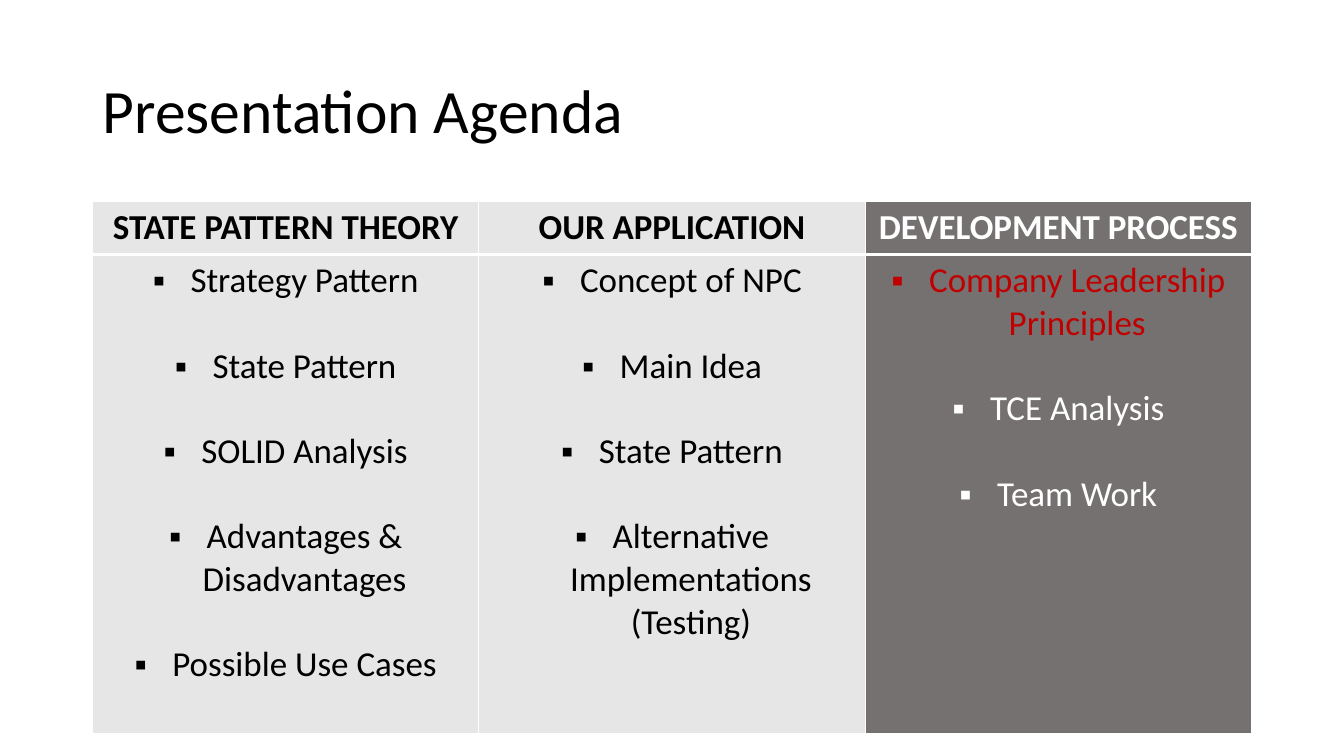
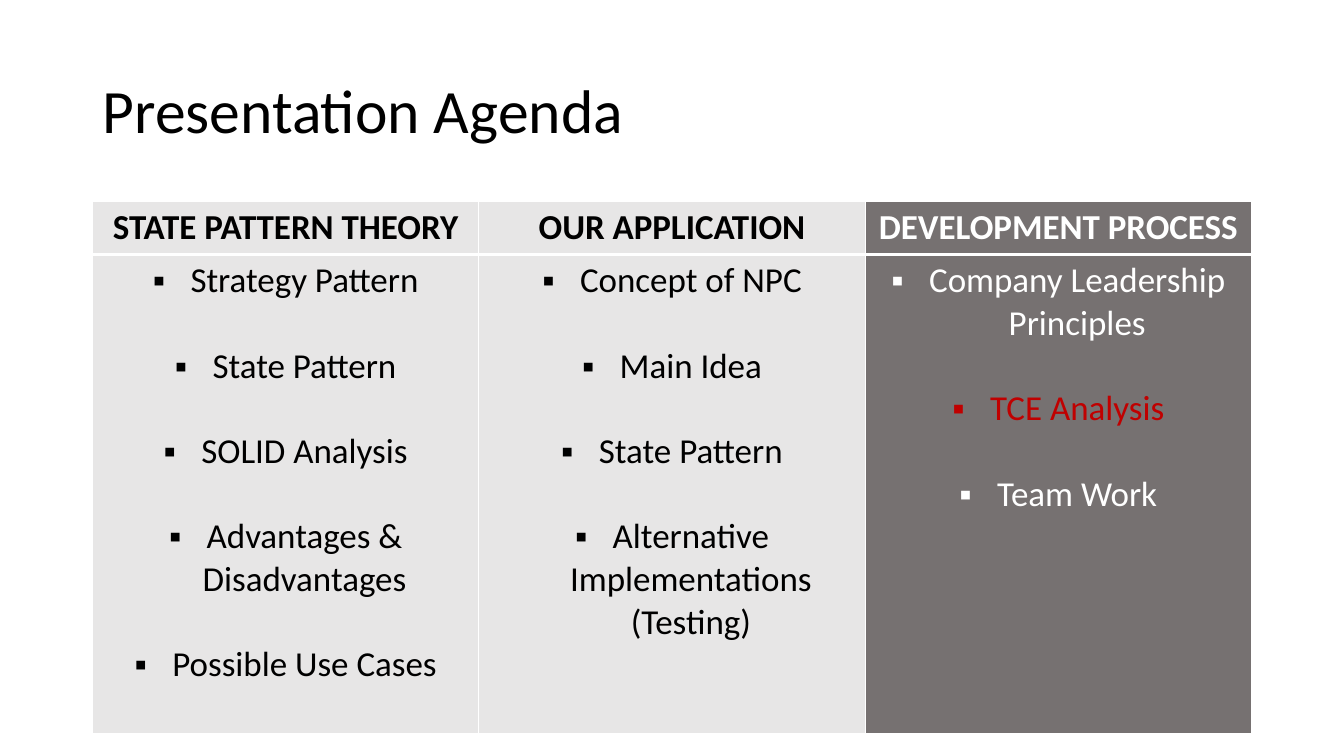
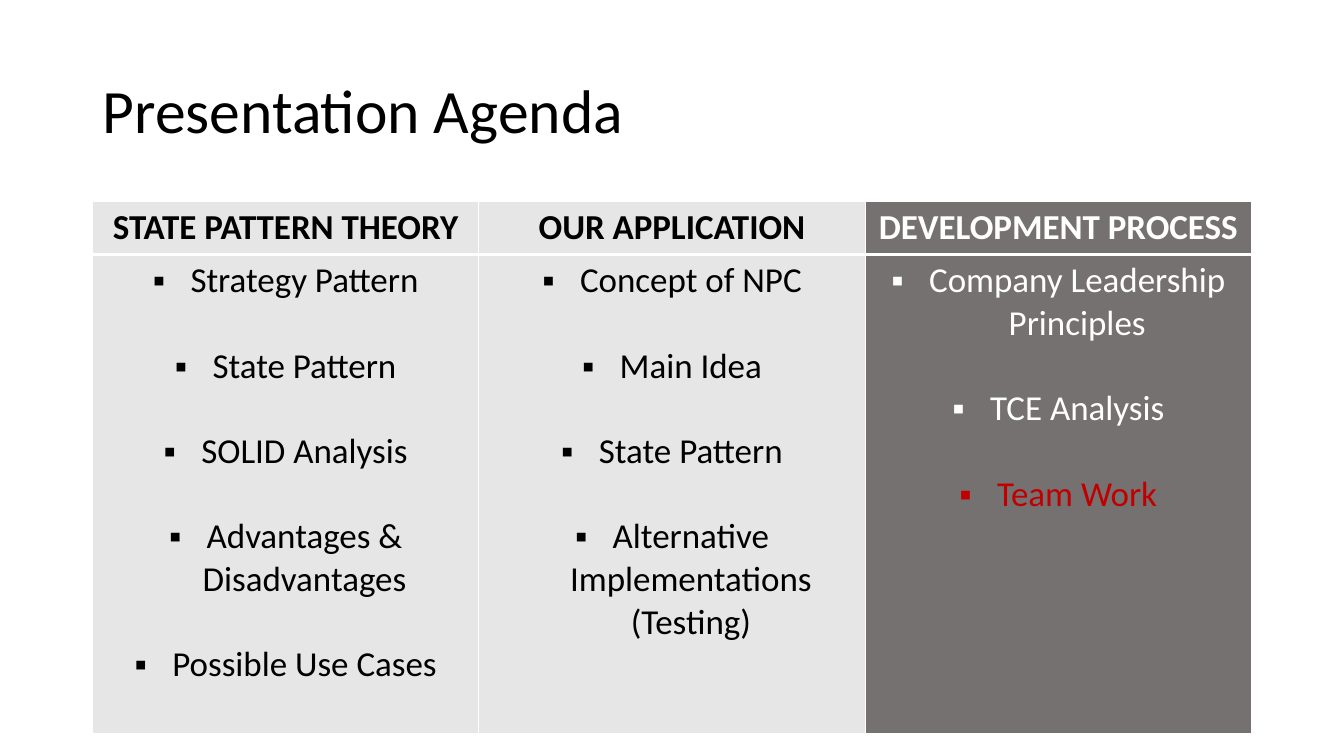
import dataclasses

import lxml.etree
import pptx
import pptx.dml.color
import pptx.enum.text
import pptx.oxml.ns
import pptx.util

Cm = pptx.util.Cm
Pt = pptx.util.Pt
qn = pptx.oxml.ns.qn


@dataclasses.dataclass(frozen=True)
class Theme:
    font: str = "Calibri"
    white: str = "FFFFFF"
    black: str = "000000"
    light: str = "E7E6E6"
    dark: str = "767171"
    accent: str = "C00000"
    title_size: int = 44
    table_size: int = 25
    item_gap: float = 30.5
    thin: int = 1
    thick: int = 3


TOPICS = {
    "STATE PATTERN THEORY": [
        "Strategy Pattern",
        "State Pattern",
        "SOLID Analysis",
        "Advantages & Disadvantages",
        "Possible Use Cases",
    ],
    "OUR APPLICATION": [
        "Concept of NPC",
        "Main Idea",
        "State Pattern",
        "Alternative Implementations (Testing)",
    ],
    "DEVELOPMENT PROCESS": [
        "Company Leadership Principles",
        "TCE Analysis",
        "Team Work",
    ],
}
CURRENT_TOPIC = "DEVELOPMENT PROCESS"


class Deck:
    left, width = Cm(2.33), Cm(29.21)

    def __init__(self, theme):
        self.theme = theme
        self.presentation = pptx.Presentation()
        self.presentation.slide_width = Cm(33.87)
        self.presentation.slide_height = Cm(19.05)
        self.slide = None

    def add_slide(self, title):
        layout = self.presentation.slide_layouts[5]
        self.slide = self.presentation.slides.add_slide(layout)
        shape = self.slide.shapes.title
        shape.left, shape.top = self.left, Cm(1.01)
        shape.width, shape.height = self.width, Cm(3.68)
        text_frame = shape.text_frame
        text_frame.text = title
        text_frame.vertical_anchor = pptx.enum.text.MSO_ANCHOR.MIDDLE
        paragraph = text_frame.paragraphs[0]
        paragraph.alignment = pptx.enum.text.PP_ALIGN.LEFT
        paragraph.line_spacing = 0.9
        self.format_runs(paragraph, self.theme.title_size, self.theme.black)

    def format_runs(self, paragraph, size, color, bold=False):
        for run in paragraph.runs:
            run.font.name = self.theme.font
            run.font.size = Pt(size)
            run.font.bold = bold
            run.font.color.rgb = pptx.dml.color.RGBColor.from_string(color)

    def add_bullet(self, paragraph):
        properties = paragraph._p.get_or_add_pPr()
        properties.set("marL", str(Cm(0.95)))
        properties.set("indent", str(-Cm(0.95)))
        lxml.etree.SubElement(properties, qn("a:buFont"), typeface="Arial")
        lxml.etree.SubElement(properties, qn("a:buChar"), char="▪")

    def style_cell(self, cell, fill, top, bottom):
        thin = self.theme.thin
        properties = cell._tc.get_or_add_tcPr()
        for side, weight in zip("LRTB", (thin, thin, top, bottom)):
            line = lxml.etree.SubElement(
                properties, qn(f"a:ln{side}"), w=str(Pt(weight)))
            solid = lxml.etree.SubElement(line, qn("a:solidFill"))
            lxml.etree.SubElement(solid, qn("a:srgbClr"), val=self.theme.white)
        cell.fill.solid()
        cell.fill.fore_color.rgb = pptx.dml.color.RGBColor.from_string(fill)

    def fill_header(self, cell, heading, fill, color):
        self.style_cell(cell, fill, self.theme.thin, self.theme.thick)
        cell.text_frame.text = heading
        paragraph = cell.text_frame.paragraphs[0]
        paragraph.alignment = pptx.enum.text.PP_ALIGN.CENTER
        self.format_runs(paragraph, self.theme.table_size, color, bold=True)

    def fill_list(self, cell, items, fill, color, highlight):
        self.style_cell(cell, fill, self.theme.thick, self.theme.thin)
        cell.text_frame.text = "\n".join(items)
        for index, paragraph in enumerate(cell.text_frame.paragraphs):
            paragraph.alignment = pptx.enum.text.PP_ALIGN.CENTER
            if index:
                paragraph.space_before = Pt(self.theme.item_gap)
            self.add_bullet(paragraph)
            marked = items[index] == highlight
            self.format_runs(paragraph, self.theme.table_size,
                             self.theme.accent if marked else color)

    def add_agenda(self, topics, current, highlight):
        theme = self.theme
        row_heights = Cm(1.32), Cm(12.07)
        table = self.slide.shapes.add_table(
            2, len(topics), self.left, Cm(5.08), self.width, sum(row_heights)).table
        table.horz_banding = False
        for row, height in zip(table.rows, row_heights):
            row.height = height
        for column, (heading, items) in enumerate(topics.items()):
            active = heading == current
            fill, color = (theme.dark, theme.white) if active else (theme.light, theme.black)
            self.fill_header(table.cell(0, column), heading, fill, color)
            self.fill_list(table.cell(1, column), items, fill, color,
                           highlight if active else None)


def main():
    deck = Deck(Theme())
    for highlight in TOPICS[CURRENT_TOPIC]:
        deck.add_slide("Presentation Agenda")
        deck.add_agenda(TOPICS, CURRENT_TOPIC, highlight)
    deck.presentation.save("out.pptx")


if __name__ == "__main__":
    main()
